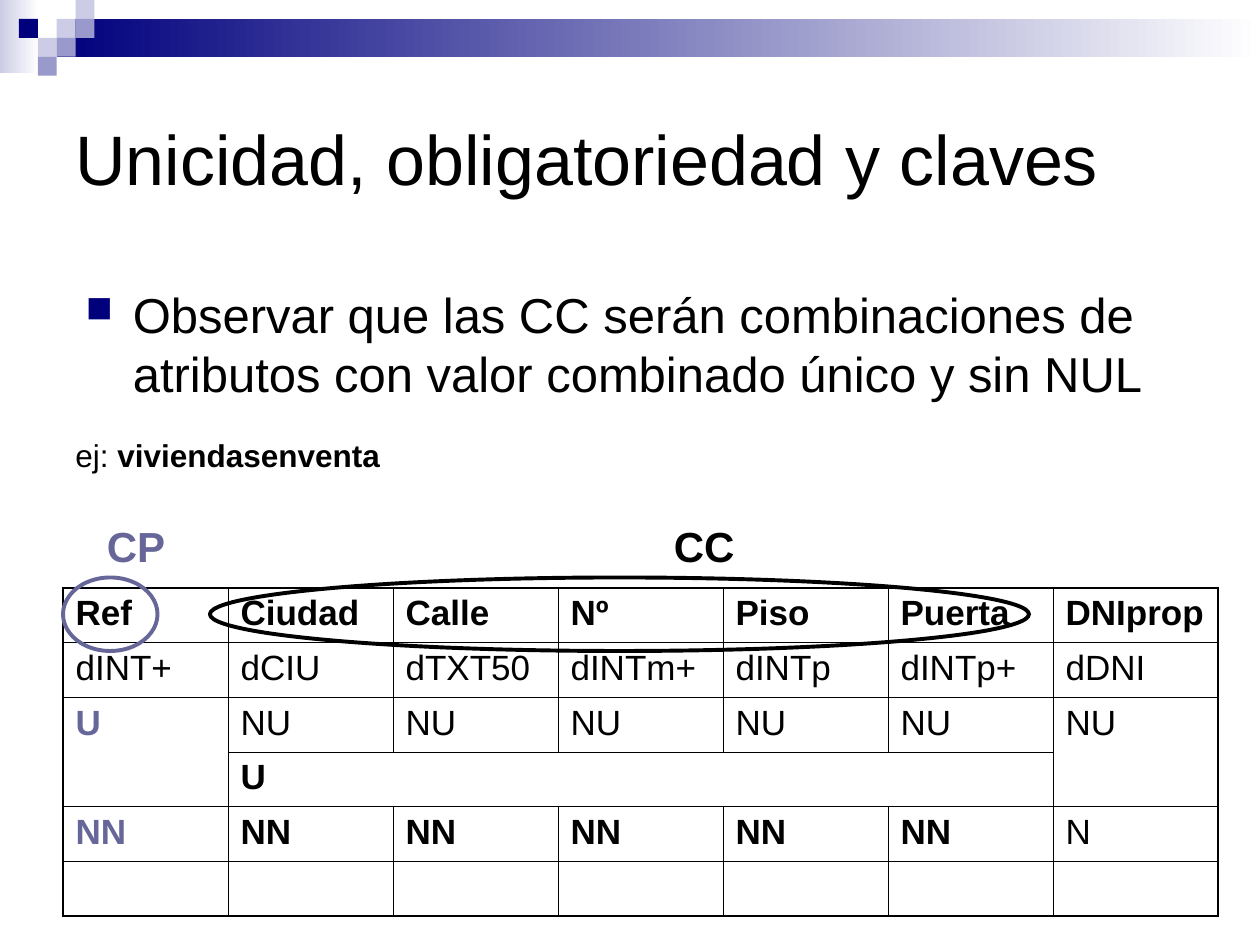
from lxml.etree import SubElement
from pptx import Presentation
from pptx.dml.color import RGBColor
from pptx.enum.shapes import MSO_SHAPE as Shape
from pptx.enum.text import MSO_ANCHOR as Anchor, MSO_AUTO_SIZE as AutoSize
from pptx.oxml.ns import qn
from pptx.util import Pt

BLACK = RGBColor(0, 0, 0)
WHITE = RGBColor(255, 255, 255)
NAVY = RGBColor(0x00, 0x00, 0x7D)
LAVENDER = RGBColor(0xCC, 0xCC, 0xE6)
PERIWINKLE = RGBColor(0x99, 0x99, 0xCC)
KEY_PURPLE = RGBColor(0x66, 0x66, 0x99)

SQUARE = 10.8
SQUARES = [  # column, row, colour on the corner grid
    (3, 1, LAVENDER), (4, 0, LAVENDER), (4, 1, PERIWINKLE), (2, 2, LAVENDER),
    (1, 1, NAVY), (3, 2, PERIWINKLE), (2, 3, PERIWINKLE),
]

ROWS = [
    ["Ref", "Ciudad", "Calle", "Nº", "Piso", "Puerta", "DNIprop"],
    ["dINT+", "dCIU", "dTXT50", "dINTm+", "dINTp", "dINTp+", "dDNI"],
    ["U"] + ["NU"] * 6,
    ["", "U", "", "", "", "", ""],
    ["NN"] * 6 + ["N"],
    [""] * 7,
]
MERGES = [((2, 0), (3, 0)), ((2, 6), (3, 6)), ((3, 1), (3, 5))]
BOLD_TEXTS = {"U", "NN"}
OUTER, INNER = 1.08, 0.45


def write_text(paragraph, text, size=20, color=BLACK, bold=False):
    run = paragraph.add_run()
    run.text = text
    font = run.font
    font.name, font.size, font.bold = "Arial", Pt(size), bold
    font.color.rgb = color


def add_text_box(slide, left, top, width, height, wrap=True, anchor=Anchor.TOP):
    """Return the empty first paragraph of a new text box."""
    box = slide.shapes.add_textbox(Pt(left), Pt(top), Pt(width), Pt(height))
    frame = box.text_frame
    frame.word_wrap = wrap
    frame.vertical_anchor = anchor
    frame.auto_size = AutoSize.NONE if wrap else AutoSize.SHAPE_TO_FIT_TEXT
    return frame.paragraphs[0]


def add_bullet(paragraph, indent, color):
    props = paragraph._p.get_or_add_pPr()
    props.set("marL", str(Pt(indent)))
    props.set("indent", str(-Pt(indent)))
    bullet_color = SubElement(props, qn("a:buClr"))
    SubElement(bullet_color, qn("a:srgbClr"), val=str(color))
    SubElement(props, qn("a:buSzPct"), val="75000")
    SubElement(props, qn("a:buChar"), char="■")


def add_block(slide, left, top, width, height, color, fades=False):
    block = slide.shapes.add_shape(
        Shape.RECTANGLE, Pt(left), Pt(top), Pt(width), Pt(height))
    block.shadow.inherit = False
    block.line.fill.background()
    if fades:
        block.fill.gradient()
        block.fill.gradient_angle = 0
        for stop, stop_color in zip(block.fill.gradient_stops, (color, WHITE)):
            stop.color.rgb = stop_color
    else:
        block.fill.solid()
        block.fill.fore_color.rgb = color


def add_ring(slide, left, top, width, height, color):
    ring = slide.shapes.add_shape(
        Shape.OVAL, Pt(left), Pt(top), Pt(width), Pt(height))
    ring.shadow.inherit = False
    ring.fill.background()
    ring.line.color.rgb = color
    ring.line.width = Pt(2.25)


def set_borders(cell, **widths):
    props = cell._tc.get_or_add_tcPr()
    for side, width in widths.items():
        line = SubElement(props, qn(f"a:ln{side}"), w=str(Pt(width)))
        fill = SubElement(line, qn("a:solidFill"))
        SubElement(fill, qn("a:srgbClr"), val=str(BLACK))


def add_attribute_table(slide, left, top, width, height):
    row_count, column_count = len(ROWS), len(ROWS[0])
    table = slide.shapes.add_table(
        row_count, column_count, Pt(left), Pt(top), Pt(width), Pt(height)).table
    table.first_row = table.horz_banding = False
    for r, row in enumerate(ROWS):
        for c, text in enumerate(row):
            cell = table.cell(r, c)
            set_borders(
                cell,
                L=OUTER if c == 0 else INNER,
                R=OUTER if c == column_count - 1 else INNER,
                T=OUTER if r == 0 else INNER,
                B=OUTER if r == row_count - 1 else INNER)
            cell.fill.background()
            if text:
                bold = r == 0 or text in BOLD_TEXTS
                is_key = c == 0 and text in BOLD_TEXTS
                write_text(cell.text_frame.paragraphs[0], text, bold=bold,
                           color=KEY_PURPLE if is_key else BLACK)
    for first, last in MERGES:
        table.cell(*first).merge(table.cell(*last))


def add_corner_decoration(slide):
    add_block(slide, 0, 0, 22.3, 41.8, LAVENDER, fades=True)
    add_block(slide, 3 * SQUARE, SQUARE, 687.6, 2 * SQUARE, NAVY, fades=True)
    for column, row, color in SQUARES:
        add_block(slide, column * SQUARE, row * SQUARE, SQUARE, SQUARE, color)


def main():
    deck = Presentation()
    deck.slide_width, deck.slide_height = Pt(720), Pt(540)
    slide = deck.slides.add_slide(deck.slide_layouts[6])

    add_corner_decoration(slide)
    title = add_text_box(slide, 36, 36, 648, 108, anchor=Anchor.MIDDLE)
    write_text(title, "Unicidad, obligatoriedad y claves", size=40)

    remark = add_text_box(slide, 41.8, 159.1, 653.8, 82.8)
    add_bullet(remark, 27, NAVY)
    write_text(remark, "Observar que las CC serán combinaciones de atributos "
               "con valor combinado único y sin NUL", size=28)

    example = add_text_box(slide, 36, 245.5, 188.6, 28.8, wrap=False)
    write_text(example, "ej: ", size=18)
    write_text(example, "viviendasenventa", size=18, bold=True)

    add_attribute_table(slide, 36, 336, 660, 187.2)

    for label, label_left, label_width, ring_left, ring_width, color in (
            ("CC", 378, 49, 120, 468, BLACK),
            ("CP", 54, 47.5, 36, 54, KEY_PURPLE)):
        add_ring(slide, ring_left, 330, ring_width, 42, color)
        caption = add_text_box(slide, label_left, 294, label_width, 36, wrap=False)
        write_text(caption, label, size=24, color=color, bold=True)

    deck.save("out.pptx")


if __name__ == "__main__":
    main()
